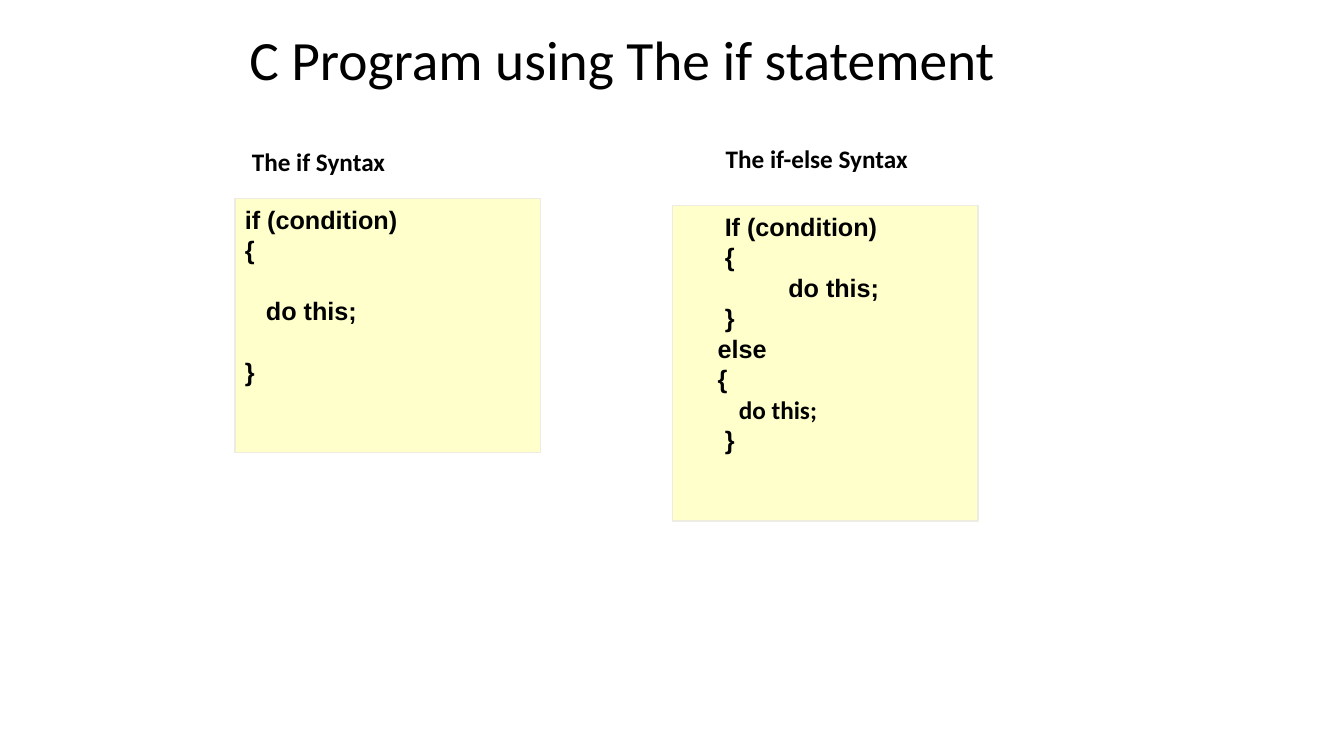
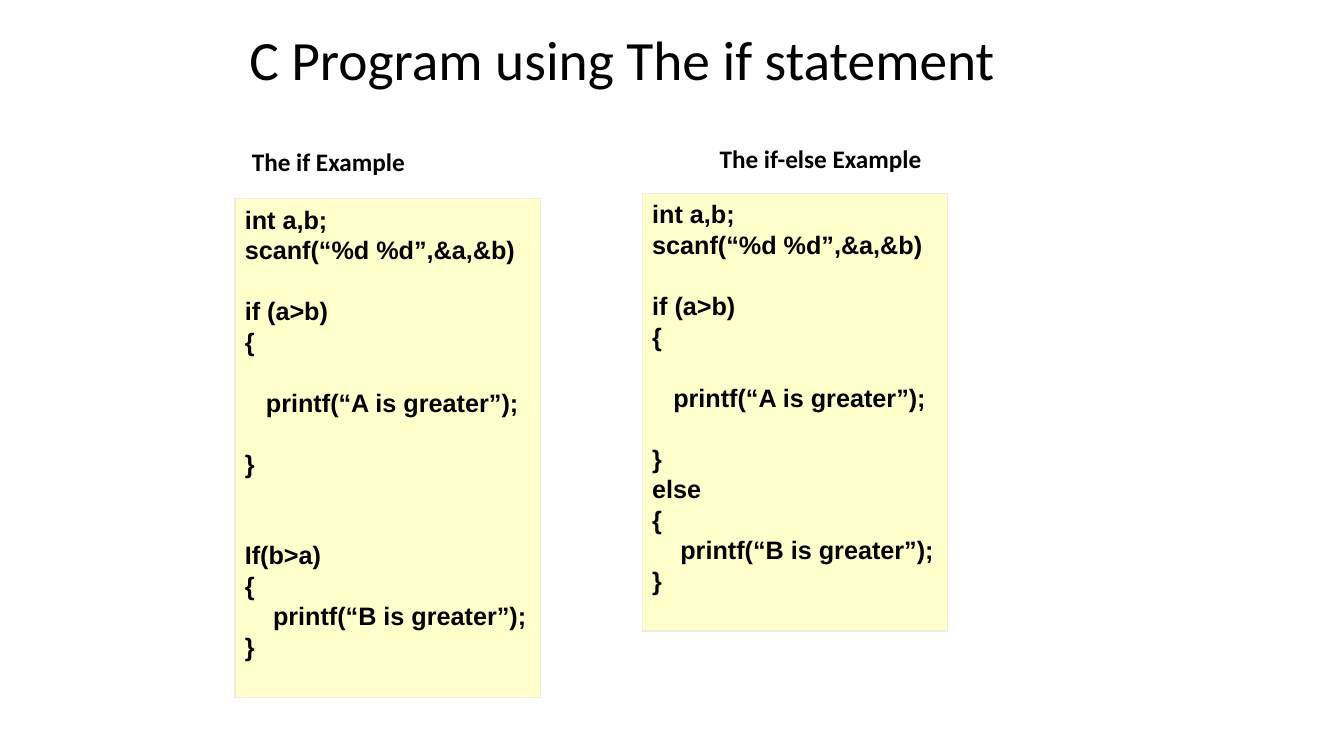
from pptx import Presentation
from pptx.dml.color import RGBColor
from pptx.enum import shapes, text
from pptx.util import Inches, Pt

COLORS = {"ink": "000000", "panel": "FFFFCC", "edge": "EEECE1"}
TITLE = "C Program using The if statement"
PITCH = 21.8
STEP = 0.07
WIDTH = 3.03

COMPARE = [
    (0, 0, "int a,b;"), (0, 0, "scanf(“%d %d”,&a,&b)"),
    (0, 1, "if (a>b)"), (0, 0, "{"),
    (3, 1, "printf(“A is greater”);"), (0, 1, "}"),
]
ANSWER = [(0, 0, "{"), (4, 0, "printf(“B is greater”);"), (0, 0, "}")]

# Each code line holds indent steps, blank lines above, text and an optional font.
SLIDES = [
    [
        {"head": "The if Syntax", "spot": (2.14, 1.3),
         "box": (2.33, 1.97, WIDTH, 2.52),
         "code": [(0, 0, "if (condition)"), (0, 0, "{"),
                  (3, 1, "do this;"), (0, 1, "}")]},
        {"head": "The if-else Syntax", "spot": (6.84, 1.27),
         "box": (6.67, 2.04, WIDTH, 3.13),
         "code": [(6, 0, "If (condition)"), (6, 0, "{"),
                  (15, 0, "do this;"), (6, 0, "}"),
                  (5, 0, "else"), (5, 0, "{"),
                  (8, 0, "do this;", "Calibri"), (6, 0, "}")]},
    ],
    [
        {"head": "The if Example", "spot": (2.14, 1.3),
         "box": (2.33, 1.97, WIDTH, 4.95),
         "code": COMPARE + [(0, 2, "If(b>a)")] + ANSWER},
        {"head": "The if-else Example", "spot": (6.78, 1.27),
         "box": (6.37, 1.92, WIDTH, 4.34),
         "code": COMPARE + [(0, 0, "else")] + ANSWER},
    ],
]


def color(name):
    return RGBColor.from_string(COLORS[name])


def style(para, words, size, font, bold=False, indent=0):
    para.text = words
    para.font.size = Pt(size)
    para.font.name = font
    para.font.bold = bold
    para.font.color.rgb = color("ink")
    para.alignment = text.PP_ALIGN.LEFT
    if indent:
        para._p.get_or_add_pPr().set("marL", str(Inches(indent)))


def label(slide, place, words, size, bold=False, indent=0, pad=0.05):
    frame = slide.shapes.add_textbox(*map(Inches, place)).text_frame
    frame.word_wrap = True
    frame.margin_top = frame.margin_bottom = Inches(pad)
    para = frame.paragraphs[0]
    style(para, words, size, "Calibri", bold, indent)
    return frame


def title(slide):
    frame = label(slide, (1.67, 0.2, 9, 0.75), TITLE, 39.6)
    frame.vertical_anchor = text.MSO_ANCHOR.MIDDLE
    frame.paragraphs[0].alignment = text.PP_ALIGN.CENTER


def panel(slide, place, code):
    shape = slide.shapes.add_shape(shapes.MSO_SHAPE.RECTANGLE, *map(Inches, place))
    shape.shadow.inherit = False
    shape.fill.solid()
    shape.fill.fore_color.rgb = color("panel")
    shape.line.color.rgb = color("edge")
    shape.line.width = Pt(1)
    frame = shape.text_frame
    frame.word_wrap = True
    frame.vertical_anchor = text.MSO_ANCHOR.TOP
    for i, (steps, gap, words, *font) in enumerate(code):
        para = frame.add_paragraph() if i else frame.paragraphs[0]
        style(para, words, 18, font[0] if font else "Arial", True, steps * STEP)
        para.line_spacing = Pt(PITCH)
        para.space_before = Pt(gap * PITCH)


def main():
    deck = Presentation()
    deck.slide_width, deck.slide_height = Inches(13.33), Inches(7.5)
    for parts in SLIDES:
        slide = deck.slides.add_slide(deck.slide_layouts[6])
        title(slide)
        for part in parts:
            panel(slide, part["box"], part["code"])
            label(slide, (*part["spot"], 2.84, 0.61), part["head"], 18, True, 0.26, 0.15)
    deck.save("out.pptx")


if __name__ == "__main__":
    main()
